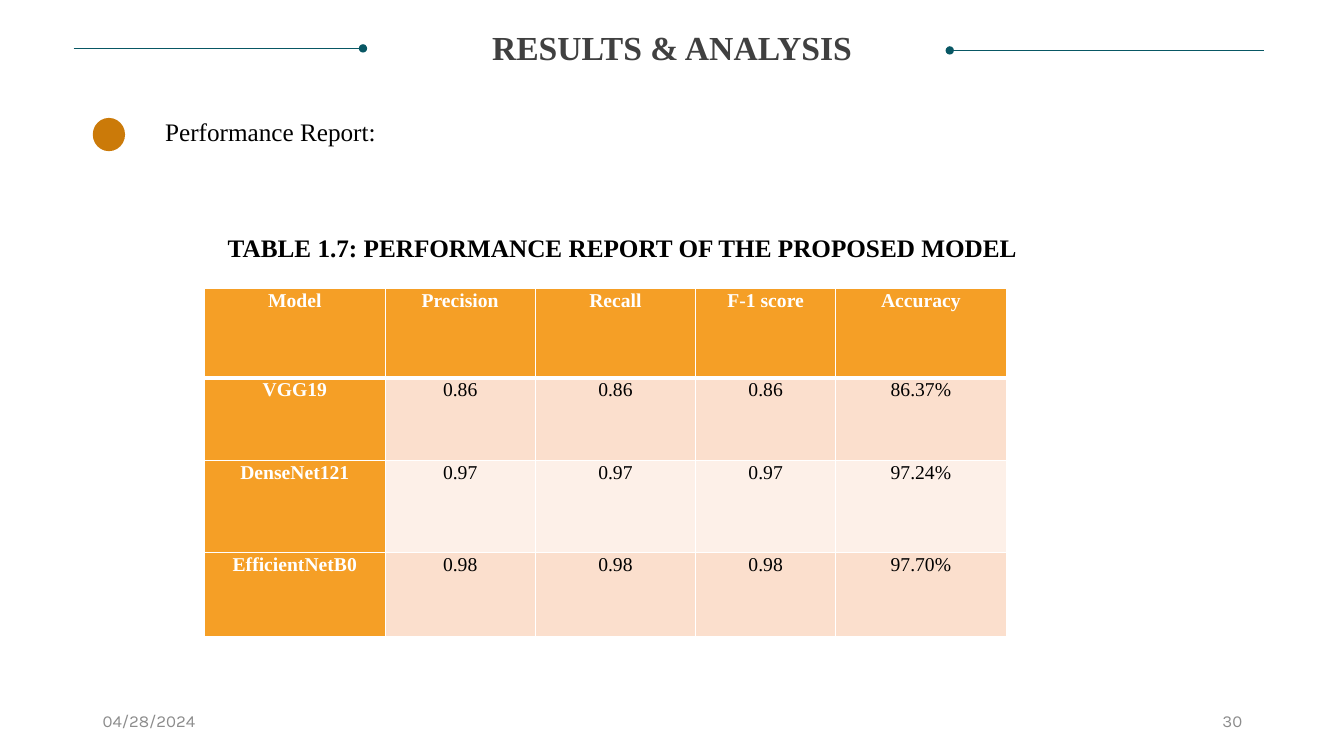
from lxml import etree
from pptx import Presentation
from pptx import util as u
from pptx.dml.color import RGBColor
from pptx.enum import shapes, text
from pptx.oxml import ns

TEAL = RGBColor(0x08, 0x57, 0x64)
OCHRE = RGBColor(0xCB, 0x7A, 0x09)
ORANGE = RGBColor(0xF5, 0x9F, 0x26)
PEACH = RGBColor(0xFB, 0xDF, 0xCD)
PALE = RGBColor(0xFD, 0xF0, 0xE8)
WHITE = RGBColor(0xFF, 0xFF, 0xFF)
BLACK = RGBColor(0, 0, 0)
CHARCOAL = RGBColor(0x40, 0x40, 0x40)
GREY = RGBColor(0x8C, 0x8C, 0x8C)
LEFT, CENTER, RIGHT = (text.PP_ALIGN.LEFT, text.PP_ALIGN.CENTER,
                       text.PP_ALIGN.RIGHT)
TOP, MIDDLE = text.MSO_ANCHOR.TOP, text.MSO_ANCHOR.MIDDLE


def box(*lengths):
    return [u.Inches(n) for n in lengths]


class SlideBuilder:
    serif = "Times New Roman"
    sans = "Karla"

    def __init__(self, prs):
        self.s = prs.slides.add_slide(prs.slide_layouts[5])

    def add_words(self, tf, words, size, color, bold=False, font=serif,
                  align=LEFT, spacing=1.0):
        p = tf.paragraphs[0]
        p.alignment, p.line_spacing = align, spacing
        r = p.add_run()
        r.text = words
        r.font.color.rgb = color
        style = {"name": font, "size": u.Pt(size), "bold": bold}
        for key, value in style.items():
            setattr(r.font, key, value)

    def set_margins(self, target, side):
        margins = {"margin_left": side, "margin_right": side,
                   "margin_top": 0, "margin_bottom": 0}
        for key, value in margins.items():
            setattr(target, key, u.Inches(value))

    def title(self, words, at):
        sp = self.s.shapes.title
        sp.left, sp.top, sp.width, sp.height = box(*at)
        tf = sp.text_frame
        self.set_margins(tf, 0)
        tf.word_wrap, tf.vertical_anchor = True, TOP
        tf.auto_size = text.MSO_AUTO_SIZE.NONE
        self.add_words(tf, words, 24, CHARCOAL, True, align=CENTER, spacing=0.9)

    def label(self, words, at, size, color, anchor=TOP, **style):
        tf = self.s.shapes.add_textbox(*box(*at)).text_frame
        tf.word_wrap, tf.vertical_anchor = True, anchor
        self.add_words(tf, words, size, color, **style)

    def rule(self, start, end, dotted_end):
        line = self.s.shapes.add_connector(
            shapes.MSO_CONNECTOR.STRAIGHT, *box(*start, *end))
        line.line.color.rgb = TEAL
        line.line.width = u.Pt(0.5)
        ln = line.line._get_or_add_ln()
        etree.SubElement(ln, ns.qn(f"a:{dotted_end}"), type="oval")
        etree.SubElement(line._element.spPr, ns.qn("a:effectLst"))

    def dot(self, at, color):
        sp = self.s.shapes.add_shape(shapes.MSO_SHAPE.OVAL, *box(*at))
        sp.shadow.inherit = False
        sp.fill.solid()
        sp.fill.fore_color.rgb = color
        sp.line.fill.background()

    def border(self, cell, widths):
        tcPr = cell._tc.get_or_add_tcPr()
        for i, (side, points) in enumerate(widths.items()):
            ln = etree.Element(ns.qn(f"a:ln{side}"), w=str(u.Pt(points)))
            fill = etree.SubElement(ln, ns.qn("a:solidFill"))
            etree.SubElement(fill, ns.qn("a:srgbClr"), val=str(WHITE))
            tcPr.insert(i, ln)

    def table(self, rows, at, widths, heights):
        tbl = self.s.shapes.add_table(
            len(rows), len(widths), *box(*at, sum(widths), sum(heights))).table
        for column, width in zip(tbl.columns, widths):
            column.width = u.Inches(width)
        for row, height in zip(tbl.rows, heights):
            row.height = u.Inches(height)
        for i, values in enumerate(rows):
            for j, value in enumerate(values):
                cell = tbl.cell(i, j)
                heading = i == 0 or j == 0
                band = PEACH if i % 2 else PALE
                self.set_margins(cell, 0.07)
                cell.fill.solid()
                cell.fill.fore_color.rgb = ORANGE if heading else band
                self.border(cell, {"L": 1, "R": 1, "T": 3 if i == 1 else 1,
                                   "B": 3 if i == 0 else 1})
                self.add_words(cell.text_frame, value, 14,
                               WHITE if heading else BLACK, heading,
                               align=CENTER, spacing=1.07)


def main():
    prs = Presentation()
    prs.slide_width, prs.slide_height = box(13.33, 7.5)
    slide = SlideBuilder(prs)

    # Footer
    for words, left, align in (("04/28/2024", 0.92, LEFT), ("30", 9.42, RIGHT)):
        slide.label(words, (left, 6.95, 3, 0.4), 12, GREY, MIDDLE,
                    font=slide.sans, align=align)

    # Title between two rules
    slide.title("RESULTS & ANALYSIS", (0.25, 0.31, 12.83, 0.79))
    slide.rule((0.73, 0.48), (3.6, 0.48), "tailEnd")
    slide.rule((9.42, 0.5), (12.54, 0.5), "headEnd")

    # Section heading
    slide.dot((0.92, 1.17, 0.32, 0.33), OCHRE)
    slide.label("Performance Report:", (1.54, 1.1, 3, 0.4), 18, BLACK)

    # Performance table and its caption
    rows = [("Model", "Precision", "Recall", "F-1 score", "Accuracy")]
    for model, score, accuracy in (("VGG19", "0.86", "86.37%"),
                                   ("DenseNet121", "0.97", "97.24%"),
                                   ("EfficientNetB0", "0.98", "97.70%")):
        rows.append((model, score, score, score, accuracy))
    slide.table(rows, (2.03, 2.86), (1.79, 1.49, 1.59, 1.39, 1.69),
                (0.89, 0.82, 0.91, 0.84))
    slide.label("TABLE 1.7: PERFORMANCE REPORT OF THE PROPOSED MODEL",
                (2.16, 2.26, 8.18, 0.4), 18, BLACK, bold=True)

    prs.save("out.pptx")


if __name__ == "__main__":
    main()
